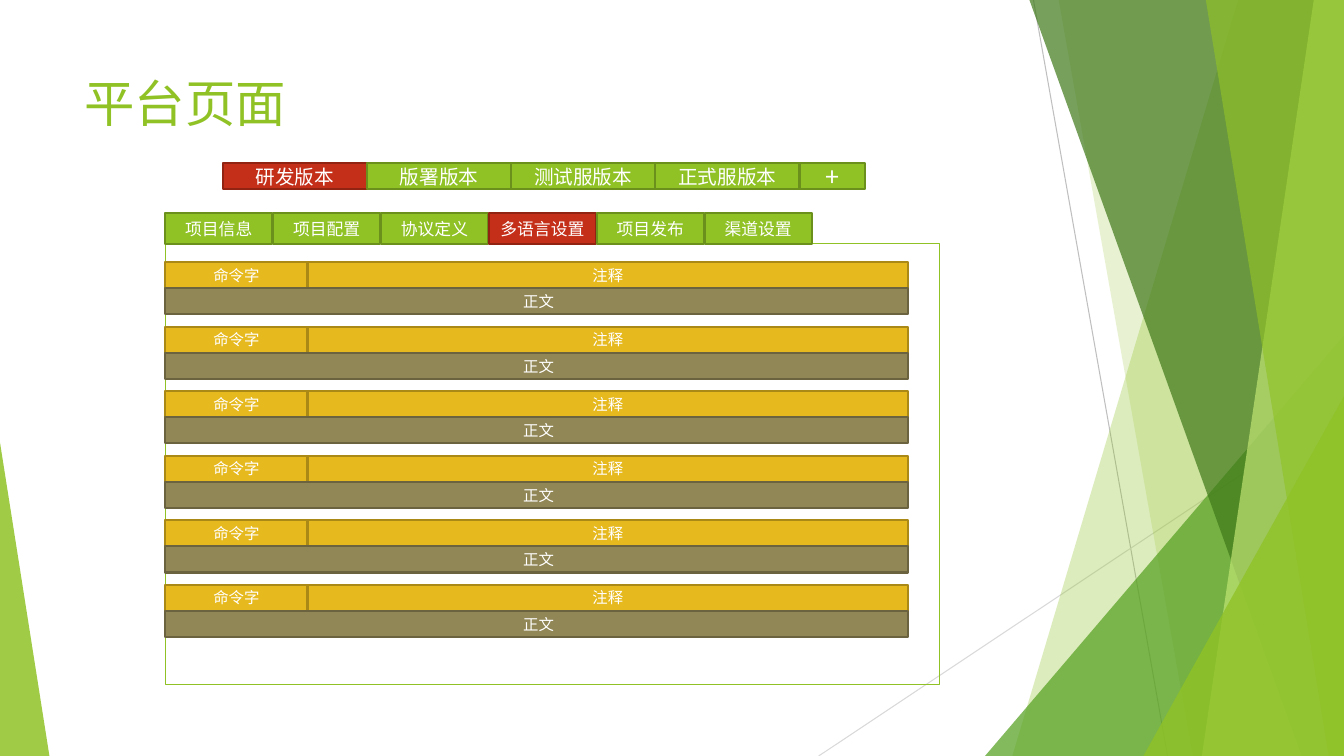
from lxml import etree
from pptx import Presentation
from pptx.dml.color import RGBColor
from pptx.enum.shapes import MSO_CONNECTOR, MSO_SHAPE
from pptx.enum.text import MSO_ANCHOR, PP_ALIGN
from pptx.oxml.ns import qn
from pptx.util import Inches, Pt

RECTANGLE, TRIANGLE = MSO_SHAPE.RECTANGLE, MSO_SHAPE.ISOSCELES_TRIANGLE
STRAIGHT = MSO_CONNECTOR.STRAIGHT
CENTER, MIDDLE, TOP = PP_ALIGN.CENTER, MSO_ANCHOR.MIDDLE, MSO_ANCHOR.TOP

# Content
TITLE = "平台页面"
VERSIONS = [("研发版本", 1.43, 14), ("版署版本", 1.43, 14), ("测试服版本", 1.43, 14),
            ("正式服版本", 1.43, 14), ("+", 0.65, 18)]
ACTIVE_VERSION = "研发版本"
TABS = ["项目信息", "项目配置", "协议定义", "多语言设置", "项目发布", "渠道设置"]
ACTIVE_TAB = "多语言设置"
COMMAND, NOTE, BODY = "命令字", "注释", " 正文"
ENTRY_COUNT = 6

# Style: fill and outline pairs
WIDTH, HEIGHT = 13.33, 7.5
BODY_FONT, TITLE_FONT = "Noto Sans CJK SC", "Karla"
ACCENT, WHITE = "90C226", "FFFFFF"
GREEN, RED = (ACCENT, "6B901C"), ("C42F1A", "912313")
YELLOW, OLIVE = ("E6B91E", "AA8916"), ("918655", "6B633F")

# Grid
LEFT = 1.64
VERSION_LEFT, VERSION_TOP = 2.21, 1.62
TAB_TOP, TAB_WIDTH, TAB_HEIGHT, TAB_PITCH = 2.11, 1.06, 0.31, 1.07
ENTRY_TOP, ENTRY_PITCH, ROW = 2.6, 0.64, 0.26
COMMAND_WIDTH, ENTRY_WIDTH = 1.41, 7.37

# Backdrop: lines (from, to, colour), then facets from back to front
BACK_LINES = [((10.25, 0), (11.58, HEIGHT), "BFBFBF"),
              ((WIDTH, 4.03), (8.12, HEIGHT), "D9D9D9")]
# A band gives its top-left and bottom-left x; a triangle its box and apex
FACETS = [("band", (12.28, 10.04), ACCENT, 30),
          ("band", (10.5, 11.83), ACCENT, 20),
          ("triangle", (9.77, 3.33, 3.56, 1), "54A021", 72),
          ("band", (10.21, 12.91), "3F7819", 70),
          ("band", (13.03, 11.92), "C0E474", 70),
          ("band", (11.96, 13.18), ACCENT, 65),
          ("triangle", (11.34, 3.93, 1.99, 1), ACCENT, 80),
          ("triangle", (0, 4.39, 0.49, 0), ACCENT, 85)]

presentation = Presentation()
presentation.slide_width, presentation.slide_height = Inches(WIDTH), Inches(HEIGHT)
slide = presentation.slides.add_slide(presentation.slide_layouts[6])
shapes = slide.shapes


def color(value):
    return RGBColor.from_string(value)


def set_text(shape, text, size, text_color, font, anchor):
    frame = shape.text_frame
    frame.word_wrap = True
    frame.vertical_anchor = anchor
    paragraph = frame.paragraphs[0]
    paragraph.text = text
    paragraph.font.size = Pt(size)
    paragraph.font.name = font
    paragraph.font.color.rgb = color(text_color)
    properties = paragraph.font._element
    etree.SubElement(properties, qn("a:ea")).set("typeface", BODY_FONT)
    return paragraph


def add_box(left, top, width, height, colors, text, size):
    box = shapes.add_shape(RECTANGLE, *map(Inches, (left, top, width, height)))
    box.shadow.inherit = False
    box.fill.solid()
    box.fill.fore_color.rgb = color(colors[0])
    box.line.color.rgb = color(colors[1])
    box.line.width = Pt(1.5)
    set_text(box, text, size, WHITE, BODY_FONT, MIDDLE).alignment = CENTER


def add_back_line(start, end, line_color):
    line = shapes.add_connector(STRAIGHT, *map(Inches, start + end))
    line.line.color.rgb = color(line_color)
    line.line.width = Pt(0.75)
    etree.SubElement(line._element.spPr, qn("a:effectLst"))


def add_facet(kind, geometry, fill_color, opacity):
    if kind == "band":
        top_x, bottom_x = map(Inches, geometry)
        right, bottom = Inches(WIDTH), Inches(HEIGHT)
        builder = shapes.build_freeform(top_x, 0, scale=1.0)
        builder.add_line_segments([(right, 0), (right, bottom), (bottom_x, bottom)], close=True)
        facet = builder.convert_to_shape()
    else:
        left, top, width, apex = geometry
        facet = shapes.add_shape(TRIANGLE, *map(Inches, (left, top, width, HEIGHT - top)))
        facet.adjustments[0] = apex
    facet.shadow.inherit = False
    facet.line.fill.background()
    facet.fill.solid()
    facet.fill.fore_color.rgb = color(fill_color)
    fill = facet._element.spPr.find(qn("a:solidFill"))
    etree.SubElement(fill[0], qn("a:alpha")).set("val", str(opacity * 1000))


# Backdrop
for back_line in BACK_LINES:
    add_back_line(*back_line)
for facet_data in FACETS:
    add_facet(*facet_data)

# Title
title = shapes.add_textbox(*map(Inches, (0.74, 0.67, 9.4, 1.44)))
set_text(title, TITLE, 36, ACCENT, TITLE_FONT, TOP)

# Page frame
page = shapes.add_shape(RECTANGLE, *map(Inches, (LEFT, TAB_TOP + TAB_HEIGHT, 7.68, 4.37)))
page.shadow.inherit = False
page.fill.background()
page.line.color.rgb = color(ACCENT)
page.line.width = Pt(0.75)

# Version bar
version_left = VERSION_LEFT
for label, width, size in VERSIONS:
    colors = RED if label == ACTIVE_VERSION else GREEN
    add_box(version_left, VERSION_TOP, width, ROW, colors, label, size)
    version_left += width

# Entries: command and note above the body
for index in range(ENTRY_COUNT):
    top = ENTRY_TOP + index * ENTRY_PITCH
    add_box(LEFT, top, COMMAND_WIDTH, ROW, YELLOW, COMMAND, 11)
    add_box(LEFT + COMMAND_WIDTH, top, ENTRY_WIDTH - COMMAND_WIDTH, ROW, YELLOW, NOTE, 11)
    add_box(LEFT, top + ROW, ENTRY_WIDTH, ROW, OLIVE, BODY, 11)

# Tabs
for index, label in enumerate(TABS):
    colors = RED if label == ACTIVE_TAB else GREEN
    add_box(LEFT + index * TAB_PITCH, TAB_TOP, TAB_WIDTH, TAB_HEIGHT, colors, label, 12)

presentation.save("out.pptx")
